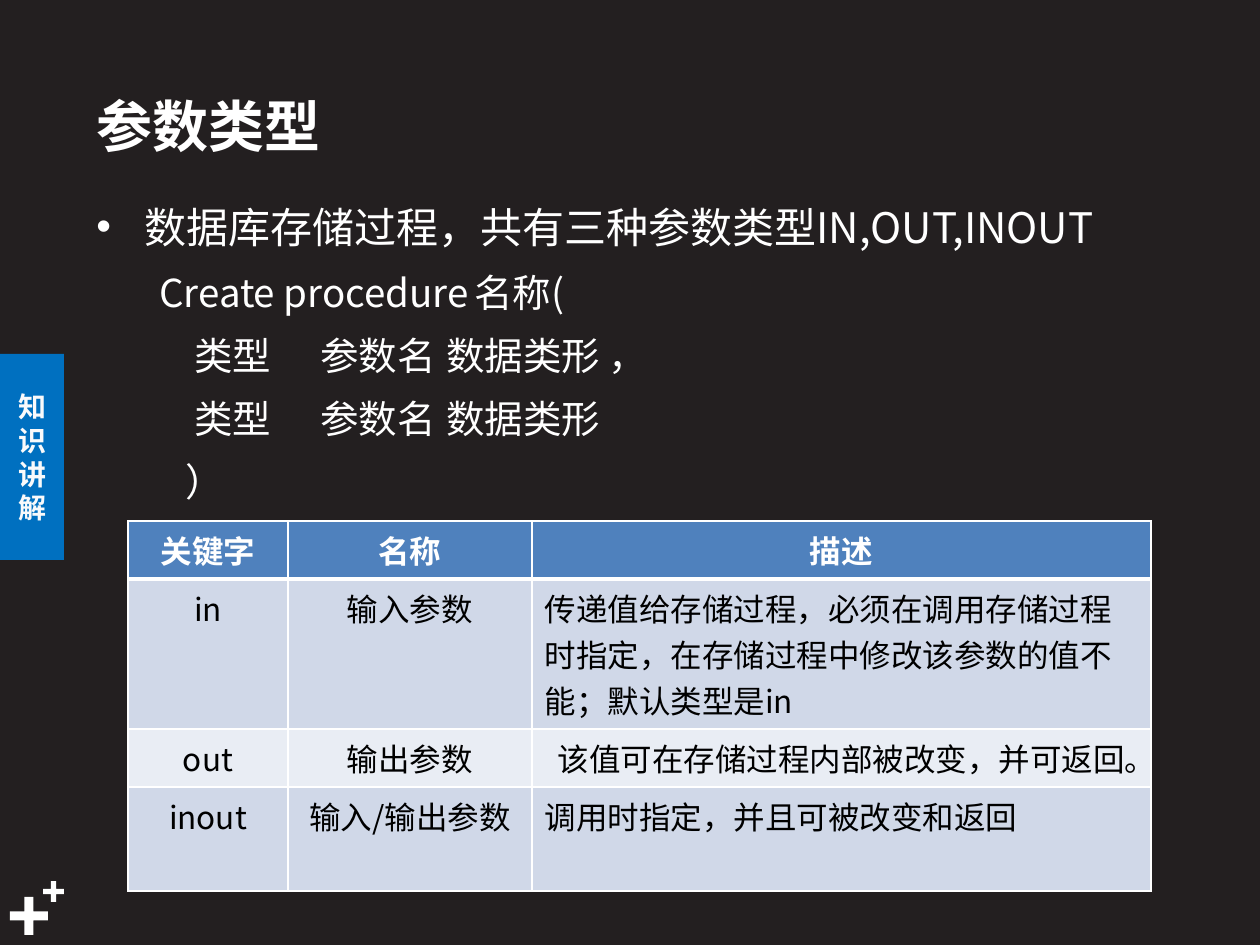
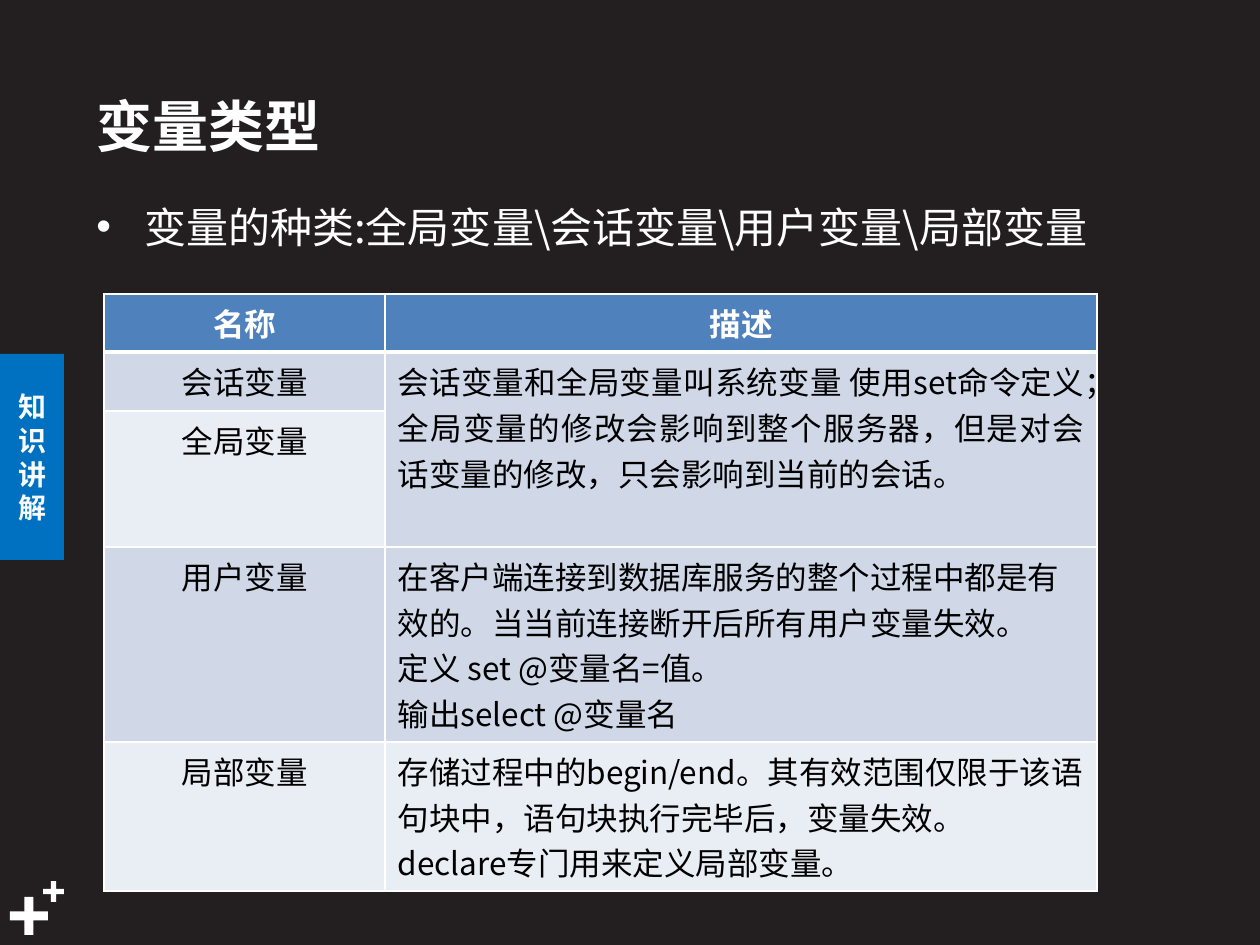
import lxml.etree
import pptx
import pptx.dml.color
import pptx.enum.shapes
import pptx.enum.text
import pptx.oxml.ns
import pptx.util

PX = 914400 / 126
FONT = "Noto Sans CJK SC"
BACKGROUND = "231F20"
WHITE = "FFFFFF"
BLACK = "000000"
TAB_BLUE = "0070C0"
TAB_TEXT = "F9FAFB"
HEADER_BLUE = "4F81BD"
BANDS = ("D0D8E8", "E9EDF4")

SHAPE = pptx.enum.shapes.MSO_SHAPE
ALIGN = pptx.enum.text.PP_ALIGN
ANCHOR = pptx.enum.text.MSO_ANCHOR
qn = pptx.oxml.ns.qn


def px(length):
    return pptx.util.Emu(round(length * PX))


def color(value):
    return pptx.dml.color.RGBColor.from_string(value)


def place(shape, left, top, width, height):
    shape.left, shape.top = px(left), px(top)
    shape.width, shape.height = px(width), px(height)


def add_xml(parent, tag, **attributes):
    return lxml.etree.SubElement(parent, qn(tag), attributes)


def format_runs(para, size, fill, bold=False):
    for span in para.runs:
        span.font.size = pptx.util.Pt(size)
        span.font.bold = bold
        span.font.color.rgb = color(fill)
        span.font.name = FONT
        add_xml(span.font._element, "a:ea", typeface=FONT)


def add_plain_shape(page, kind, left, top, width, height, fill):
    shape = page.shapes.add_shape(kind, px(left), px(top), px(width), px(height))
    shape.fill.solid()
    shape.fill.fore_color.rgb = color(fill)
    shape.line.fill.background()
    shape.shadow.inherit = False
    return shape


def add_page(deck, title):
    page = deck.slides.add_slide(deck.slide_layouts[5])

    # Corner crosses
    for left, top, size in ((10, 897, 38), (43, 881, 21)):
        cross = add_plain_shape(page, SHAPE.CROSS, left, top, size, size, WHITE)
        cross.adjustments[0] = 0.38

    # Side tab, one character to a line
    tab = add_plain_shape(page, SHAPE.RECTANGLE, 0, 354, 64, 206, TAB_BLUE)
    tab.text_frame.text = "知识讲解"
    tab.text_frame.word_wrap = True
    tab.text_frame.vertical_anchor = ANCHOR.MIDDLE
    tab.text_frame.paragraphs[0].alignment = ALIGN.CENTER
    format_runs(tab.text_frame.paragraphs[0], 16, TAB_TEXT, True)

    # Title
    place(page.shapes.title, 84, 76, 932, 98)
    frame = page.shapes.title.text_frame
    frame.text = title
    frame.auto_size = pptx.enum.text.MSO_AUTO_SIZE.NONE
    frame.vertical_anchor = ANCHOR.MIDDLE
    frame.paragraphs[0].alignment = ALIGN.LEFT
    format_runs(frame.paragraphs[0], 32, WHITE, True)
    return page


def format_body_line(para, size, margin):
    para.line_spacing = 1.2
    para.space_before = pptx.util.Pt(size * 0.2)
    format_runs(para, size, WHITE)
    properties = para._p.get_or_add_pPr()
    properties.set("marL", str(px(margin)))
    return properties


def add_body(page, height, bullet, code_lines=()):
    """Each code line is its text, its left margin and its tab stops."""
    box = page.shapes.add_textbox(px(84), px(185), px(1111), px(height))
    frame = box.text_frame
    frame.word_wrap = True

    para = frame.paragraphs[0]
    para.text = bullet
    properties = format_body_line(para, 24, 48)
    properties.set("indent", str(px(-48)))
    add_xml(properties, "a:buFont", typeface="Arial")
    add_xml(properties, "a:buChar", char="•")

    for text, margin, stops in code_lines:
        para = frame.add_paragraph()
        para.text = text
        properties = format_body_line(para, 22, margin)
        properties.set("indent", "0")
        add_xml(properties, "a:buNone")
        if stops:
            tab_list = add_xml(properties, "a:tabLst")
            for stop in stops:
                add_xml(tab_list, "a:tab", pos=str(px(stop)), algn="l")


def set_borders(cell, top, bottom):
    properties = cell._tc.get_or_add_tcPr()
    widths = {"a:lnL": 1, "a:lnR": 1, "a:lnT": top, "a:lnB": bottom}
    for index, (tag, width) in enumerate(widths.items()):
        line = add_xml(properties, tag, w=str(pptx.util.Pt(width)))
        add_xml(add_xml(line, "a:solidFill"), "a:srgbClr", val=WHITE)
        properties.insert(index, line)


def add_table(page, left, top, widths, heights, rows, description_align=ALIGN.LEFT):
    frame = page.shapes.add_table(len(rows), len(widths), px(left), px(top),
                                  px(sum(widths)), px(sum(heights)))
    table = frame.table
    for column, width in zip(table.columns, widths):
        column.width = px(width)
    for row, height in zip(table.rows, heights):
        row.height = px(height)

    for r, texts in enumerate(rows):
        header = r == 0
        for c, text in enumerate(texts):
            cell = table.cell(r, c)
            cell.text = text
            cell.fill.solid()
            cell.fill.fore_color.rgb = color(HEADER_BLUE if header else BANDS[(r - 1) % 2])
            set_borders(cell, 3 if r == 1 else 1, 3 if header else 1)
            description = c == len(widths) - 1 and not header
            for para in cell.text_frame.paragraphs:
                para.alignment = description_align if description else ALIGN.CENTER
                format_runs(para, 18, WHITE if header else BLACK, header)
    return table


def add_parameter_page(deck):
    page = add_page(deck, "参数类型")
    add_body(page, 335, "数据库存储过程，共有三种参数类型IN,OUT,INOUT", [
        ("Create procedure\t名称(", 63, [400]),
        ("类型\t参数名\t数据类形 ，", 98, [200, 332]),
        ("类型\t参数名\t数据类形", 98, [200, 332]),
        ("）", 89, []),
    ])
    table = add_table(page, 128, 521, [160, 244, 619], [58, 150, 58, 104], [
        ("关键字", "名称", "描述"),
        ("in", "输入参数", "传递值给存储过程，必须在调用存储过程时指定，"
                       "在存储过程中修改该参数的值不能；默认类型是in"),
        ("out", "输出参数", "该值可在存储过程内部被改变，并可返回。"),
        ("inout", "输入/输出参数", "调用时指定，并且可被改变和返回"),
    ])
    table.cell(2, 2).text_frame.paragraphs[0].alignment = ALIGN.CENTER


def add_variable_page(deck):
    page = add_page(deck, "变量类型")
    add_body(page, 74, "变量的种类:全局变量\\会话变量\\用户变量\\局部变量")
    table = add_table(page, 104, 294, [281, 712], [58, 59, 136, 195, 149], [
        ("名称", "描述"),
        ("会话变量", "会话变量和全局变量叫系统变量 使用set命令定义；\n"
                 "全局变量的修改会影响到整个服务器，但是对会话变量的修改，只会影响到当前的会话。"),
        ("全局变量", ""),
        ("用户变量", "在客户端连接到数据库服务的整个过程中都是有效的。"
                 "当当前连接断开后所有用户变量失效。\n"
                 "定义 set @变量名=值。\n输出select @变量名"),
        ("局部变量", "存储过程中的begin/end。其有效范围仅限于该语句块中，"
                 "语句块执行完毕后，变量失效。\ndeclare专门用来定义局部变量。"),
    ])
    # System variables share one justified description
    shared = table.cell(1, 1)
    shared.merge(table.cell(2, 1))
    for para in shared.text_frame.paragraphs:
        para.alignment = ALIGN.JUSTIFY


def main():
    deck = pptx.Presentation()
    deck.slide_width, deck.slide_height = px(1260), px(945)
    background = deck.slide_master.background.fill
    background.solid()
    background.fore_color.rgb = color(BACKGROUND)
    add_parameter_page(deck)
    add_variable_page(deck)
    deck.save("out.pptx")


if __name__ == "__main__":
    main()
